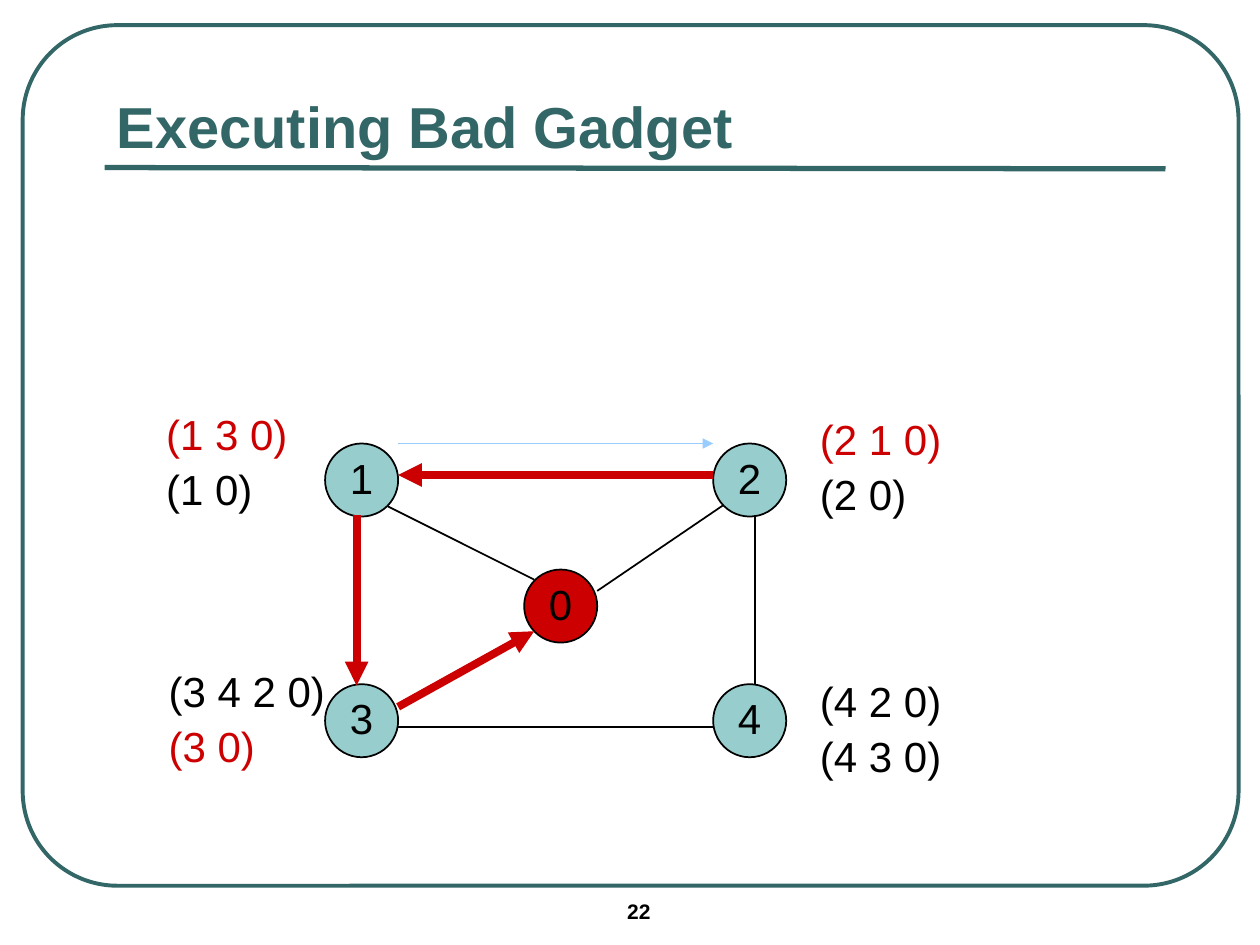
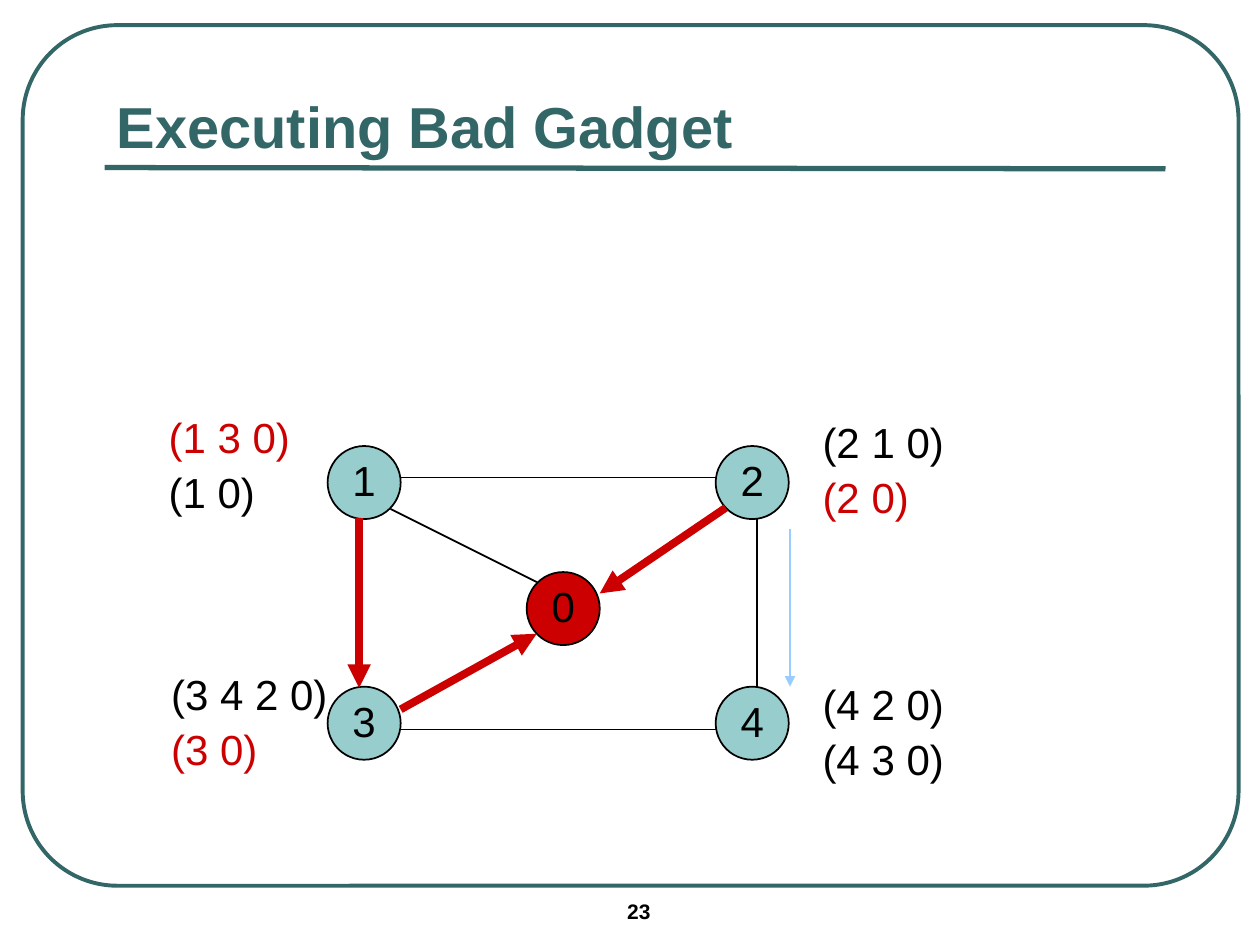
from dataclasses import dataclass

from pptx import Presentation
from pptx.dml.color import RGBColor
from pptx.enum.shapes import MSO_CONNECTOR, MSO_SHAPE
from pptx.enum.text import MSO_ANCHOR, PP_ALIGN
from pptx.oxml.ns import qn
from pptx.slide import Slide
from pptx.text.text import TextFrame
from pptx.util import Inches, Pt
from lxml.etree import SubElement

# Shared look
TEAL = RGBColor(0x33, 0x66, 0x66)
PALE_TEAL = RGBColor(0x97, 0xCD, 0xCC)
RED = RGBColor(0xCC, 0x00, 0x00)
SKY = RGBColor(0x99, 0xCC, 0xFF)
BLACK = RGBColor(0x00, 0x00, 0x00)
FONT = "Arial"
TITLE = "Executing Bad Gadget"
NODE_SIZE = 0.58

Point = tuple[float, float]


@dataclass(frozen=True)
class Node:
    name: str
    left: float
    top: float


@dataclass(frozen=True)
class Edge:
    source: str
    target: str
    start: Point
    end: Point


@dataclass(frozen=True)
class RouteList:
    left: float
    top: float
    width: float
    routes: tuple[str, str]


@dataclass(frozen=True)
class Step:
    number: int
    shift: float
    chosen: tuple[str, ...]
    message: tuple[Point, Point]


# Network: nodes, edges and each node's ranked routes
NODES = (
    Node("1", 2.58, 3.52),
    Node("0", 4.16, 4.52),
    Node("4", 5.66, 5.43),
    Node("3", 2.58, 5.43),
    Node("2", 5.66, 3.52),
)
EDGES = (
    Edge("3", "4", (3.16, 5.77), (5.66, 5.77)),
    Edge("1", "3", (2.83, 4.09), (2.83, 5.44)),
    Edge("4", "2", (5.99, 5.44), (5.99, 4.09)),
    Edge("2", "1", (5.66, 3.77), (3.16, 3.77)),
    Edge("3", "0", (3.16, 5.61), (4.24, 5.01)),
    Edge("2", "0", (5.74, 4.01), (4.74, 4.69)),
    Edge("1", "0", (3.08, 4.02), (4.24, 4.6)),
)
ROUTE_LISTS = (
    RouteList(1.22, 3.23, 1.16, ("(1 3 0)", "(1 0)")),
    RouteList(1.24, 5.27, 1.44, ("(3 4 2 0)", "(3 0)")),
    RouteList(6.41, 5.35, 1.16, ("(4 2 0)", "(4 3 0)")),
    RouteList(6.41, 3.27, 1.16, ("(2 1 0)", "(2 0)")),
)
# The chosen routes decide which labels are red and which edges become arrows
STEPS = (
    Step(22, 0, ("(1 3 0)", "(2 1 0)", "(3 0)"), ((3.16, 3.52), (5.66, 3.52))),
    Step(23, 0.02, ("(1 3 0)", "(2 0)", "(3 0)"), ((6.25, 4.18), (6.25, 5.43))),
)


def write(frame: TextFrame, text: str, *, size: float = 24, color: RGBColor = BLACK,
          bold: bool = False, align: PP_ALIGN = PP_ALIGN.LEFT, spacing: float = 0.93,
          before: float = 0, new: bool = False) -> None:
    """Put text in the first paragraph, or in a new one."""
    para = frame.add_paragraph() if new else frame.paragraphs[0]
    para.alignment = align
    para.line_spacing = spacing
    para.space_before = Pt(before)
    span = para.add_run()
    span.text = text
    span.font.name = FONT
    span.font.size = Pt(size)
    span.font.bold = bold
    span.font.color.rgb = color


def add_text_frame(page: Slide, left: float, top: float, width: float, height: float,
                   *, wrap: bool = True, anchor: MSO_ANCHOR = MSO_ANCHOR.TOP) -> TextFrame:
    box = page.shapes.add_textbox(Inches(left), Inches(top), Inches(width), Inches(height))
    frame = box.text_frame
    frame.word_wrap = wrap
    frame.vertical_anchor = anchor
    return frame


def add_line(page: Slide, start: Point, end: Point, *, color: RGBColor = BLACK,
             width: float = 1, arrow: bool = False, shift: float = 0) -> None:
    ends = [Inches(value + shift) for value in (*start, *end)]
    line = page.shapes.add_connector(MSO_CONNECTOR.STRAIGHT, *ends)
    line.line.color.rgb = color
    line.line.width = Pt(width)
    properties = line._element.spPr
    if arrow:
        SubElement(properties.find(qn("a:ln")), qn("a:tailEnd"), type="triangle")
    SubElement(properties, qn("a:effectLst"))


def add_frame(page: Slide, number: int) -> None:
    """Page number, rounded border and title rule."""
    write(add_text_frame(page, 4.88, 7.1, 1.17, 0.29), str(number), size=12, bold=True)
    border = page.shapes.add_shape(MSO_SHAPE.ROUNDED_RECTANGLE, Inches(0.18), Inches(0.2),
                                   Inches(9.65), Inches(6.83))
    border.adjustments[0] = 0.11
    border.shadow.inherit = False
    border.fill.background()
    border.line.color.rgb = TEAL
    border.line.width = Pt(2.25)
    add_line(page, (0.83, 1.33), (9.25, 1.34), color=TEAL, width=3)


def add_node(page: Slide, node: Node, shift: float) -> None:
    circle = page.shapes.add_shape(MSO_SHAPE.OVAL, Inches(node.left + shift),
                                   Inches(node.top + shift), Inches(NODE_SIZE), Inches(NODE_SIZE))
    circle.shadow.inherit = False
    circle.fill.solid()
    circle.fill.fore_color.rgb = RED if node.name == "0" else PALE_TEAL
    circle.line.color.rgb = BLACK
    circle.line.width = Pt(1)
    frame = circle.text_frame
    frame.margin_left = frame.margin_right = frame.margin_top = frame.margin_bottom = 0
    frame.vertical_anchor = MSO_ANCHOR.MIDDLE
    frame.word_wrap = False
    write(frame, node.name, align=PP_ALIGN.CENTER)


def add_edge(page: Slide, edge: Edge, step: Step) -> None:
    hop = f"({edge.source} {edge.target}"
    if any(route.startswith(hop) for route in step.chosen):
        add_line(page, edge.start, edge.end, color=RED, width=4.5, arrow=True, shift=step.shift)
    else:
        add_line(page, edge.start, edge.end, shift=step.shift)


def add_routes(page: Slide, routes: RouteList, step: Step) -> None:
    frame = add_text_frame(page, routes.left + step.shift, routes.top + step.shift,
                           routes.width, 0.88, wrap=False)
    first, second = routes.routes
    write(frame, first, color=RED if first in step.chosen else BLACK)
    write(frame, second, color=RED if second in step.chosen else BLACK,
          spacing=1.0, before=2, new=True)


def add_step(page: Slide, step: Step) -> None:
    add_frame(page, step.number)
    for node in NODES:
        add_node(page, node, step.shift)
    for edge in EDGES:
        add_edge(page, edge, step)
    for routes in ROUTE_LISTS:
        add_routes(page, routes, step)
    add_line(page, *step.message, color=SKY, arrow=True, shift=step.shift)
    title = add_text_frame(page, 0.83, 0.58, 8.42, 0.75, anchor=MSO_ANCHOR.BOTTOM)
    write(title, TITLE, size=33, color=TEAL, bold=True)


def main() -> None:
    deck = Presentation()
    deck.slide_width = Inches(10)
    deck.slide_height = Inches(7.5)
    for step in STEPS:
        add_step(deck.slides.add_slide(deck.slide_layouts[6]), step)
    deck.save("out.pptx")


if __name__ == "__main__":
    main()
